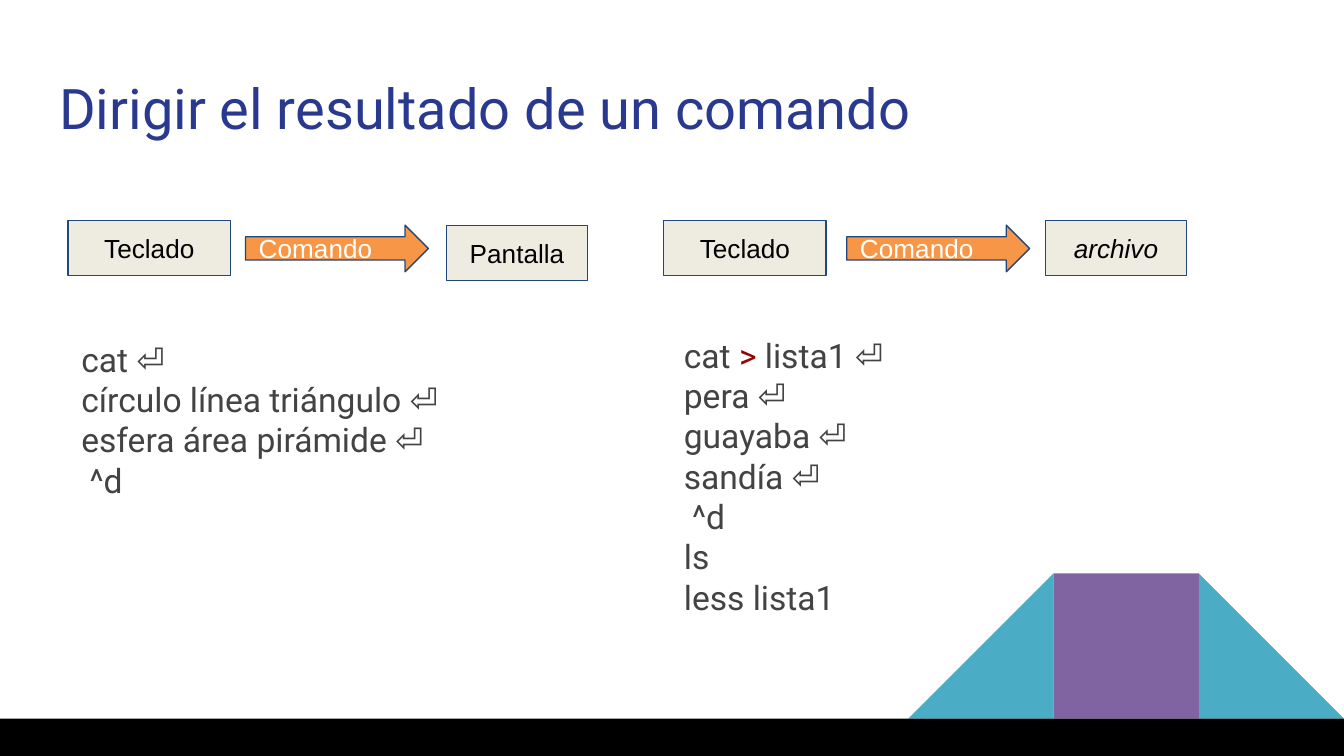
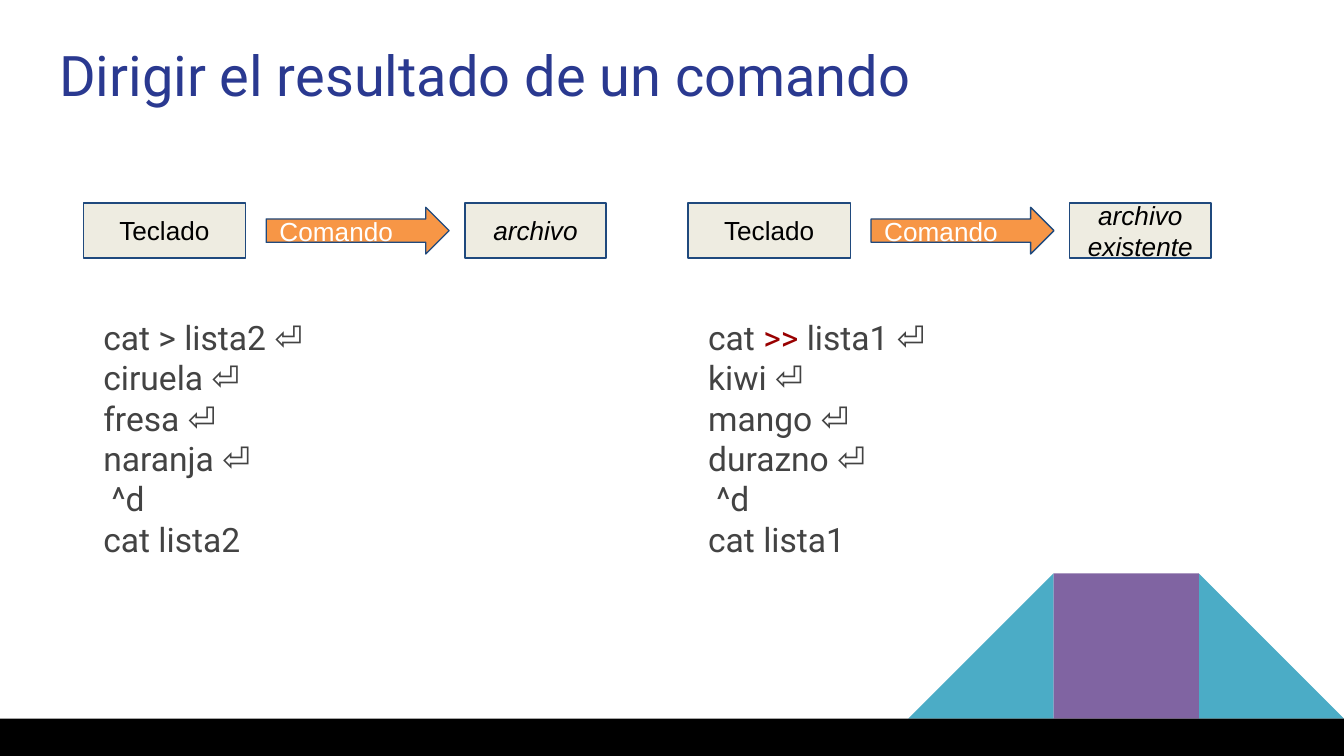
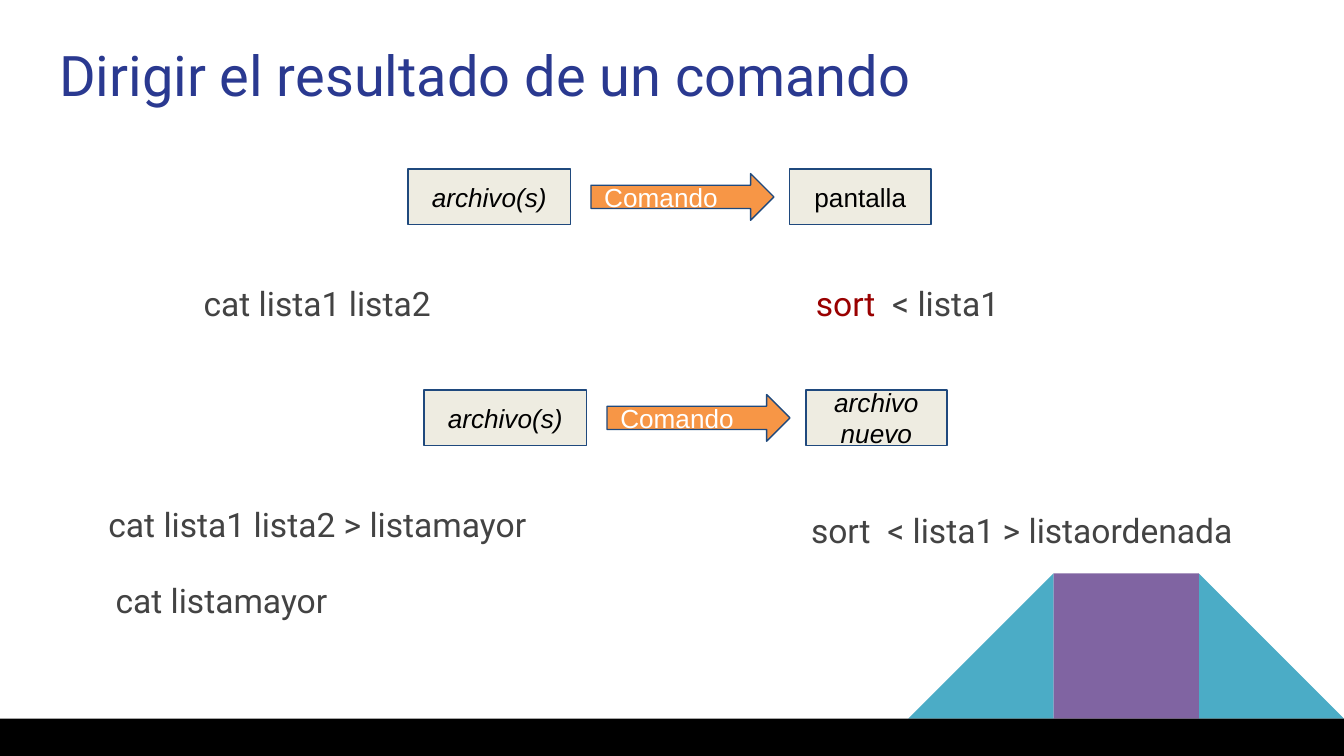
from pptx import Presentation
from pptx.dml.color import RGBColor
from pptx.enum import shapes, text
from pptx.util import Pt

WHITE = RGBColor(0xFF, 0xFF, 0xFF)
BLACK = RGBColor(0x00, 0x00, 0x00)
TITLE_BLUE = RGBColor(0x2A, 0x39, 0x90)
CODE_GRAY = RGBColor(0x43, 0x43, 0x43)
ACCENT_RED = RGBColor(0x99, 0x00, 0x00)
BOX_CREAM = RGBColor(0xEE, 0xEC, 0xE1)
OUTLINE_NAVY = RGBColor(0x1F, 0x49, 0x7D)
ARROW_ORANGE = RGBColor(0xF7, 0x96, 0x46)
TEAL = RGBColor(0x4B, 0xAC, 0xC6)
PURPLE = RGBColor(0x80, 0x64, 0xA2)

CODE_FONT, LABEL_FONT = "Roboto", "Arial"
SLIDE_W, SLIDE_H = 720, 405
BAND_TOP = 385
TILE = 77.8
TITLE = "Dirigir el resultado de un comando"
SHAPE = shapes.MSO_SHAPE


def set_frame(frame, anchor=text.MSO_ANCHOR.TOP):
    frame.word_wrap = True
    frame.auto_size = text.MSO_AUTO_SIZE.NONE
    frame.vertical_anchor = anchor
    frame.margin_left = frame.margin_right = Pt(7.2)
    frame.margin_top = frame.margin_bottom = Pt(7.2)


def set_font(font, name, size, color, italic=None):
    font.name, font.size, font.italic = name, Pt(size), italic
    font.color.rgb = color


def add_filled(slide, kind, left, top, width, height, fill, outline=None):
    shape = slide.shapes.add_shape(kind, Pt(left), Pt(top), Pt(width), Pt(height))
    shape.shadow.inherit = False
    shape.fill.solid()
    shape.fill.fore_color.rgb = fill
    if outline is None:
        shape.line.fill.background()
    else:
        shape.line.color.rgb = outline
        shape.line.width = Pt(0.75)
    return shape


def move_decor_to_layout(slide):
    """Draw the corner trapezoid and bottom band once, for every slide."""
    top, left = BAND_TOP - TILE, SLIDE_W - 3 * TILE
    right_slope = add_filled(slide, SHAPE.RIGHT_TRIANGLE, left + 2 * TILE, top, TILE, TILE, TEAL)
    left_slope = add_filled(slide, SHAPE.RIGHT_TRIANGLE, left, top, TILE, TILE, TEAL)
    left_slope._element.spPr.xfrm.set("flipH", "1")
    block = add_filled(slide, SHAPE.RECTANGLE, left + TILE, top, TILE, TILE, PURPLE)
    band = add_filled(slide, SHAPE.RECTANGLE, 0, BAND_TOP, SLIDE_W, SLIDE_H - BAND_TOP, BLACK)
    for part in (right_slope, left_slope, block, band):
        slide.slide_layout.shapes._spTree.append(part._element)


def add_title(slide, top):
    title = slide.shapes.title
    title.left, title.top, title.width, title.height = Pt(24.5), Pt(top), Pt(671), Pt(47.5)
    set_frame(title.text_frame)
    title.text_frame.text = TITLE
    heading = title.text_frame.paragraphs[0]
    heading.alignment = text.PP_ALIGN.LEFT
    set_font(heading.font, CODE_FONT, 30, TITLE_BLUE)


def add_label(shape, words, color, align, italic=None):
    set_frame(shape.text_frame, text.MSO_ANCHOR.MIDDLE)
    label = shape.text_frame.paragraphs[0]
    label.text = words
    label.alignment = align
    set_font(label.font, LABEL_FONT, 14, color, italic)


def add_flow(slide, left, top, origin, target, arrow_dx=98, target_dx=204.5, target_drop=0):
    """Origin box, command arrow and target box; file names are in italics."""
    ends = ((origin, left, top, 87), (target, left + target_dx, top + target_drop, 75.6))
    for words, x, y, width in ends:
        box = add_filled(slide, SHAPE.RECTANGLE, x, y, width, 29.6, BOX_CREAM, OUTLINE_NAVY)
        add_label(box, words, BLACK, text.PP_ALIGN.CENTER, words.startswith("archivo"))
    arrow = add_filled(slide, SHAPE.RIGHT_ARROW, left + arrow_dx, top + 2.4, 98, 25,
                       ARROW_ORANGE, OUTLINE_NAVY)
    add_label(arrow, "Comando", WHITE, text.PP_ALIGN.LEFT)


def add_code(slide, left, top, code, accent=None, width=285, height=80.6):
    """Terminal lines, with the first occurrence of accent in red."""
    box = slide.shapes.add_textbox(Pt(left), Pt(top), Pt(width), Pt(height))
    set_frame(box.text_frame)
    lines = box.text_frame.paragraphs[0]
    set_font(lines.font, CODE_FONT, 18, CODE_GRAY)
    pieces = code.partition(accent) if accent else (code,)
    for piece in pieces:
        for number, line in enumerate(piece.split("\n")):
            if number:
                lines.add_line_break()
            if line:
                run = lines.add_run()
                run.text = line
                set_font(run.font, CODE_FONT, 18,
                         ACCENT_RED if piece == accent else CODE_GRAY)


def build_screen_or_file(slide):
    add_title(slide, 32.4)
    # Keyboard to screen
    add_flow(slide, 36.5, 118.2, "Teclado", "Pantalla", 95, 202.7, 2.6)
    add_code(slide, 36.5, 174.2, "cat ⏎\ncírculo línea triángulo ⏎\nesfera área pirámide ⏎\n ^d")
    # Keyboard to file
    add_flow(slide, 355.6, 118.2, "Teclado", "archivo")
    add_code(slide, 359.3, 172.1,
             "cat > lista1 ⏎\npera ⏎\nguayaba ⏎\nsandía ⏎\n ^d\nls\nless lista1", ">")


def build_new_or_existing(slide):
    add_title(slide, 14.6)
    # New file on the left, appending on the right
    halves = (
        (44.6, "archivo", "cat > lista2 ⏎\nciruela ⏎\nfresa ⏎\nnaranja ⏎\n ^d\ncat lista2", None),
        (368.6, "archivo existente",
         "cat >> lista1 ⏎\nkiwi ⏎\nmango ⏎\ndurazno ⏎\n ^d\ncat lista1", ">>"),
    )
    for left, target, code, accent in halves:
        add_flow(slide, left, 108.7, "Teclado", target)
        add_code(slide, left + 3.7, 162.6, code, accent)


def build_from_files(slide):
    add_title(slide, 14.6)
    # Files to screen
    add_flow(slide, 218.6, 90.6, "archivo(s)", "pantalla")
    add_code(slide, 102, 144.6, "cat lista1 lista2", width=178.6, height=37.4)
    add_code(slide, 430, 144.6, "sort  < lista1", "sort", 139.7, 37.4)
    # Files to a new file
    add_flow(slide, 227.2, 209, "archivo(s)", "archivo nuevo")
    add_code(slide, 51, 262.8, "cat lista1 lista2 > listamayor", height=59)
    add_code(slide, 54.8, 303.4, "cat listamayor", width=166.3, height=59)
    add_code(slide, 427.4, 266, "sort  < lista1 > listaordenada", width=247, height=37.4)


def main():
    deck = Presentation()
    deck.slide_width, deck.slide_height = Pt(SLIDE_W), Pt(SLIDE_H)
    title_only = deck.slide_layouts[5]
    builders = (build_screen_or_file, build_new_or_existing, build_from_files)
    for number, build in enumerate(builders):
        slide = deck.slides.add_slide(title_only)
        if number == 0:
            move_decor_to_layout(slide)
        build(slide)
    deck.save("out.pptx")


if __name__ == "__main__":
    main()
